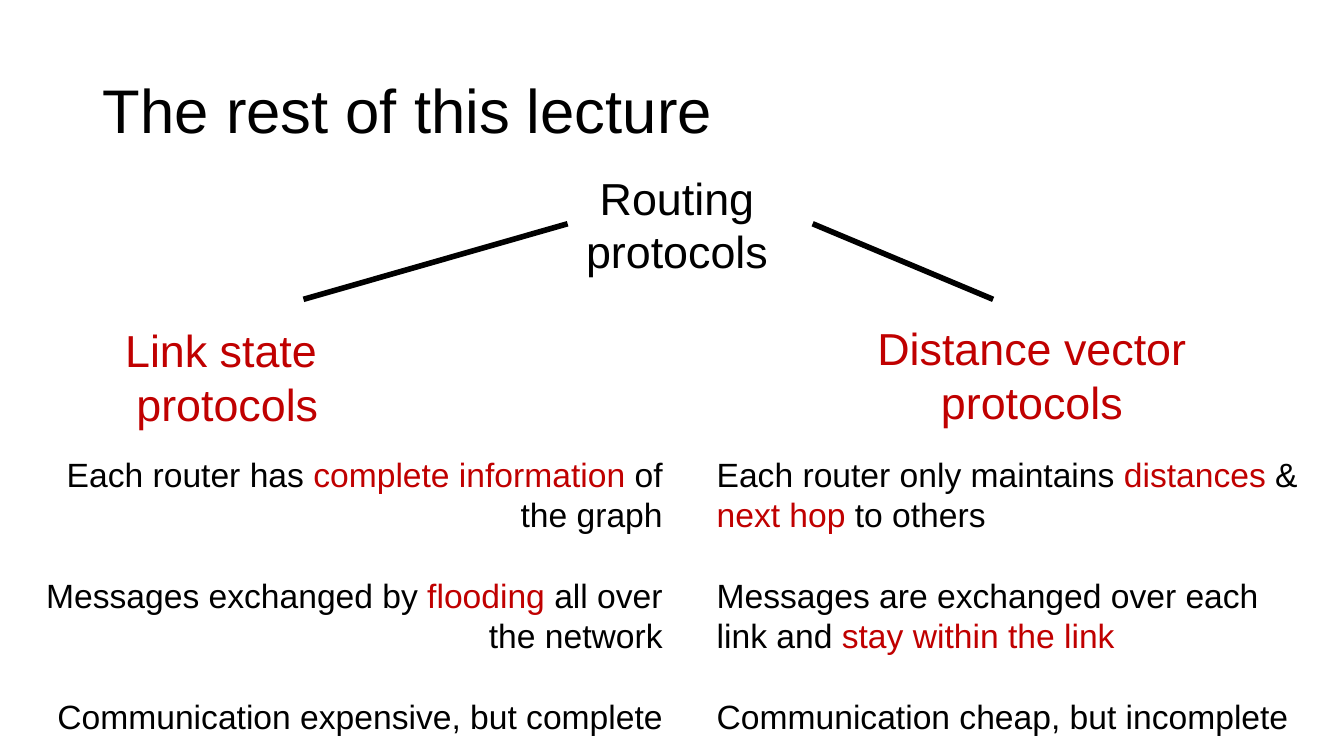
"""Builds a slide that contrasts link state and distance vector routing protocols."""
from lxml import etree
from pptx import Presentation
from pptx.dml.color import RGBColor
from pptx.enum.shapes import MSO_CONNECTOR
from pptx.enum.text import MSO_ANCHOR, PP_ALIGN
from pptx.oxml.ns import qn
from pptx.util import Pt

BLACK = RGBColor(0x00, 0x00, 0x00)
RED = RGBColor(0xC0, 0x00, 0x00)
LEFT, CENTER, RIGHT = PP_ALIGN.LEFT, PP_ALIGN.CENTER, PP_ALIGN.RIGHT
MIDDLE = MSO_ANCHOR.MIDDLE
STRAIGHT = MSO_CONNECTOR.STRAIGHT
EMU_PER_PX = 9144
FONT = "Arial"

HEADINGS = [
    ((496, 164, 351, 118), ["Routing protocols"], BLACK),
    ((50, 315, 351, 118), ["Link state ", "protocols"], RED),
    ((848, 313, 351, 118), ["Distance vector protocols"], RED),
]
BRANCHES = [(563, 222, 301, 297), (806, 222, 985, 297)]
LINK_STATE = [
    [("Each router has ", BLACK), ("complete information", RED), (" of the graph", BLACK)],
    [("Messages exchanged by ", BLACK), ("flooding", RED), (" all over the network", BLACK)],
    [("Communication expensive, but complete", BLACK)],
]
DISTANCE_VECTOR = [
    [("Each router only maintains ", BLACK), ("distances", RED), (" & ", BLACK),
     ("next hop ", RED), ("to others", BLACK)],
    [("Messages are exchanged over each link and ", BLACK), ("stay within the link", RED)],
    [("Communication cheap, but incomplete", BLACK)],
]


def px(*lengths):
    """Turn px lengths into EMU."""
    return [length * EMU_PER_PX for length in lengths]


def add_run(p, text, size, color):
    """Add one formatted run to a paragraph."""
    r = p.add_run()
    r.text = text
    for name, value in {"name": FONT, "size": Pt(size)}.items():
        setattr(r.font, name, value)
    r.font.color.rgb = color


def set_title(slide, text):
    """Place and fill the title placeholder."""
    sp = slide.shapes.title
    sp.left, sp.top, sp.width, sp.height = px(92, 40, 1150, 145)
    tf = sp.text_frame
    for name, value in {"vertical_anchor": MIDDLE, "word_wrap": True}.items():
        setattr(tf, name, value)
    p = tf.paragraphs[0]
    for name, value in {"alignment": LEFT, "line_spacing": 0.9}.items():
        setattr(p, name, value)
    add_run(p, text, 44, BLACK)


def add_text(slide, box, paragraphs, size, align, gap=0):
    """Add a wrapping text box whose paragraphs are lists of (text, colour)."""
    tf = slide.shapes.add_textbox(*px(*box)).text_frame
    tf.word_wrap = True
    for i, runs in enumerate(paragraphs):
        p = tf.paragraphs[0] if i == 0 else tf.add_paragraph()
        p.alignment = align
        p.space_before = Pt(gap if i else 0)
        for text, color in runs:
            add_run(p, text, size, color)


def add_branch(slide, ends):
    """Add a thick black line without shadow."""
    line = slide.shapes.add_connector(STRAIGHT, *px(*ends))
    line.line.color.rgb = BLACK
    line.line.width = Pt(4)
    etree.SubElement(line._element.spPr, qn("a:effectLst"))


def main():
    """Build and save the slide."""
    prs = Presentation()
    prs.slide_width, prs.slide_height = px(1333, 750)
    slide = prs.slides.add_slide(prs.slide_layouts[5])
    set_title(slide, "The rest of this lecture")
    for box, lines, color in HEADINGS:
        add_text(slide, box, [[(line, color)] for line in lines], 32, CENTER)
    for ends in BRANCHES:
        add_branch(slide, ends)
    add_text(slide, (29, 445, 638, 293), LINK_STATE, 24, RIGHT, gap=29)
    add_text(slide, (701, 445, 604, 293), DISTANCE_VECTOR, 24, LEFT, gap=29)
    prs.save("out.pptx")


if __name__ == "__main__":
    main()
